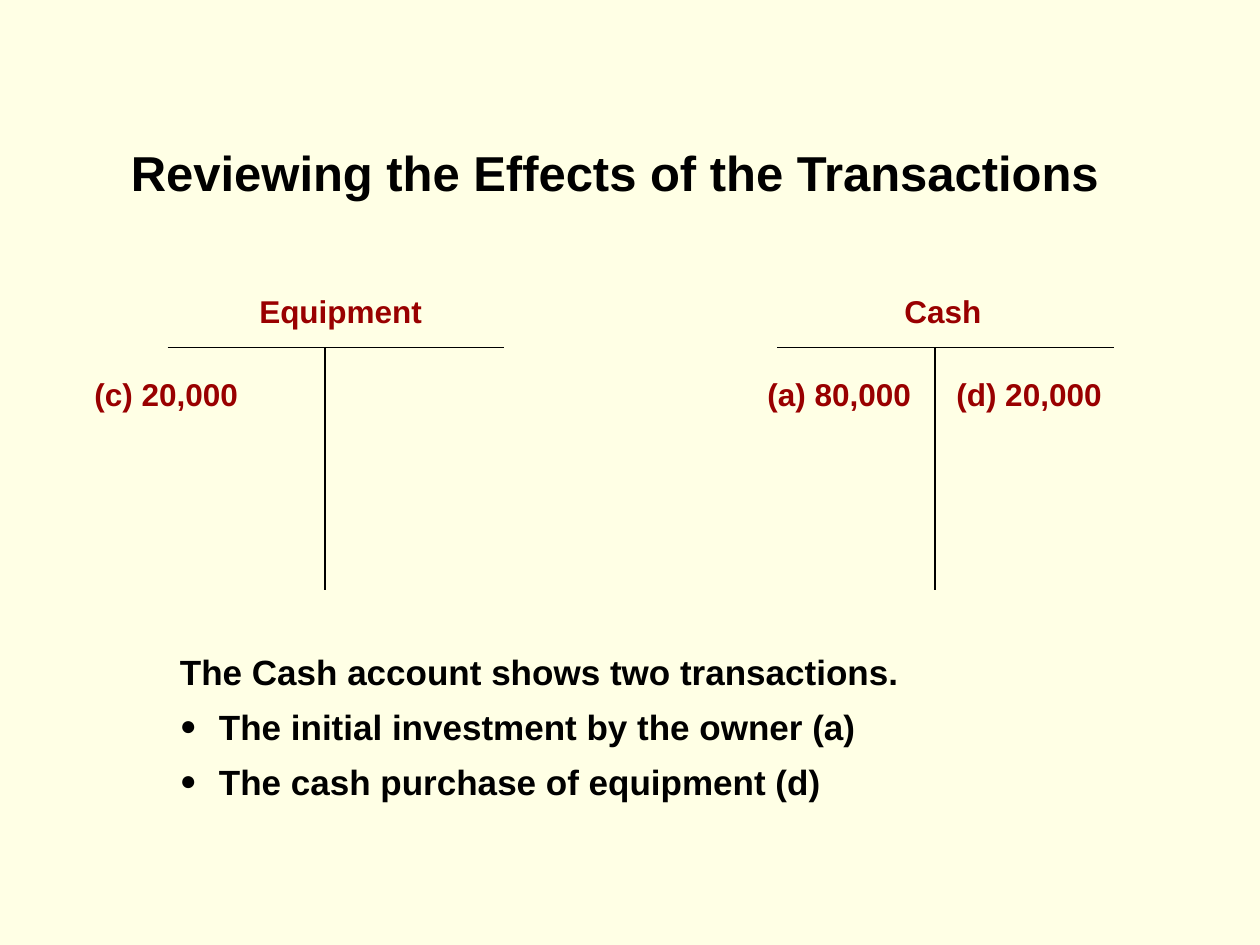
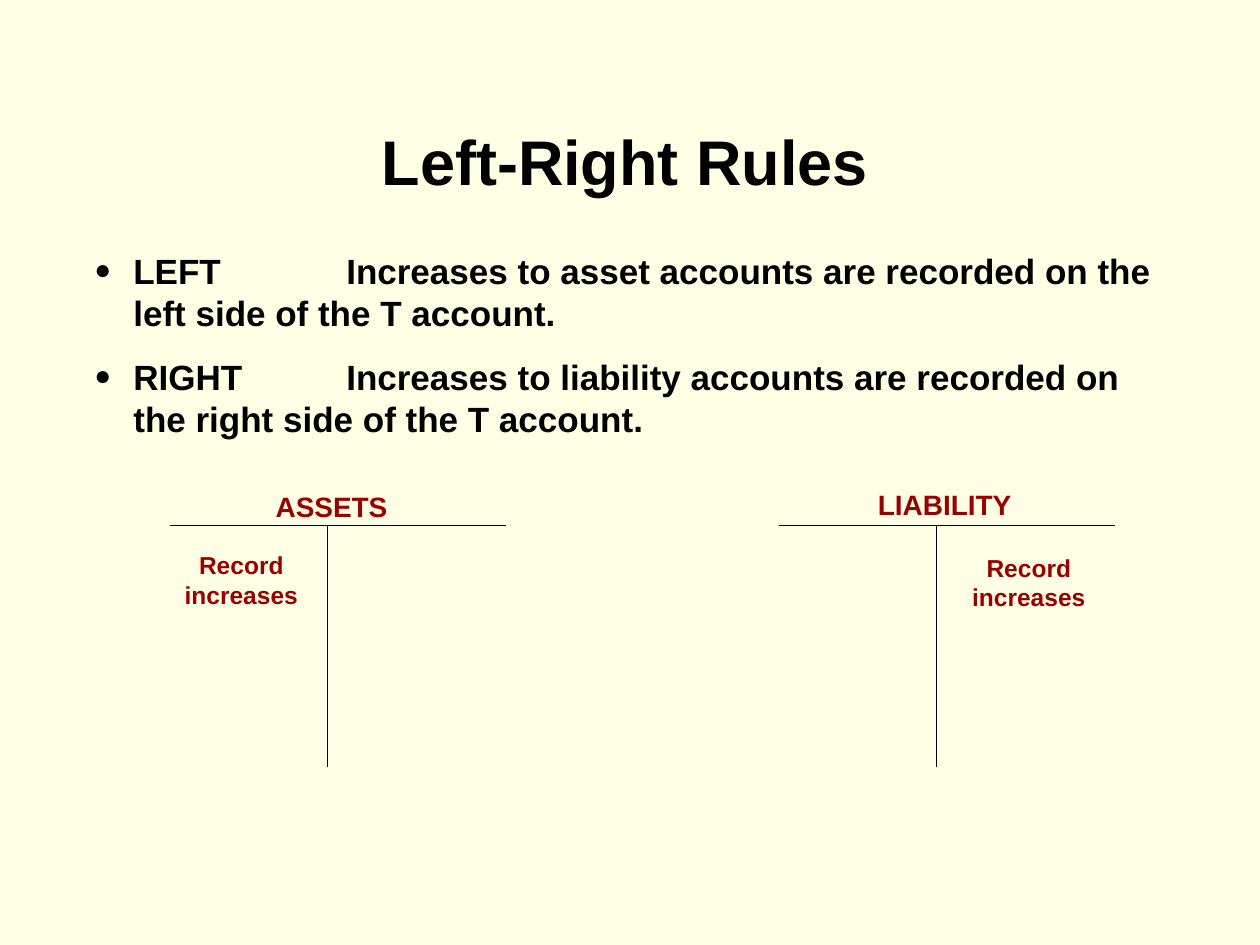
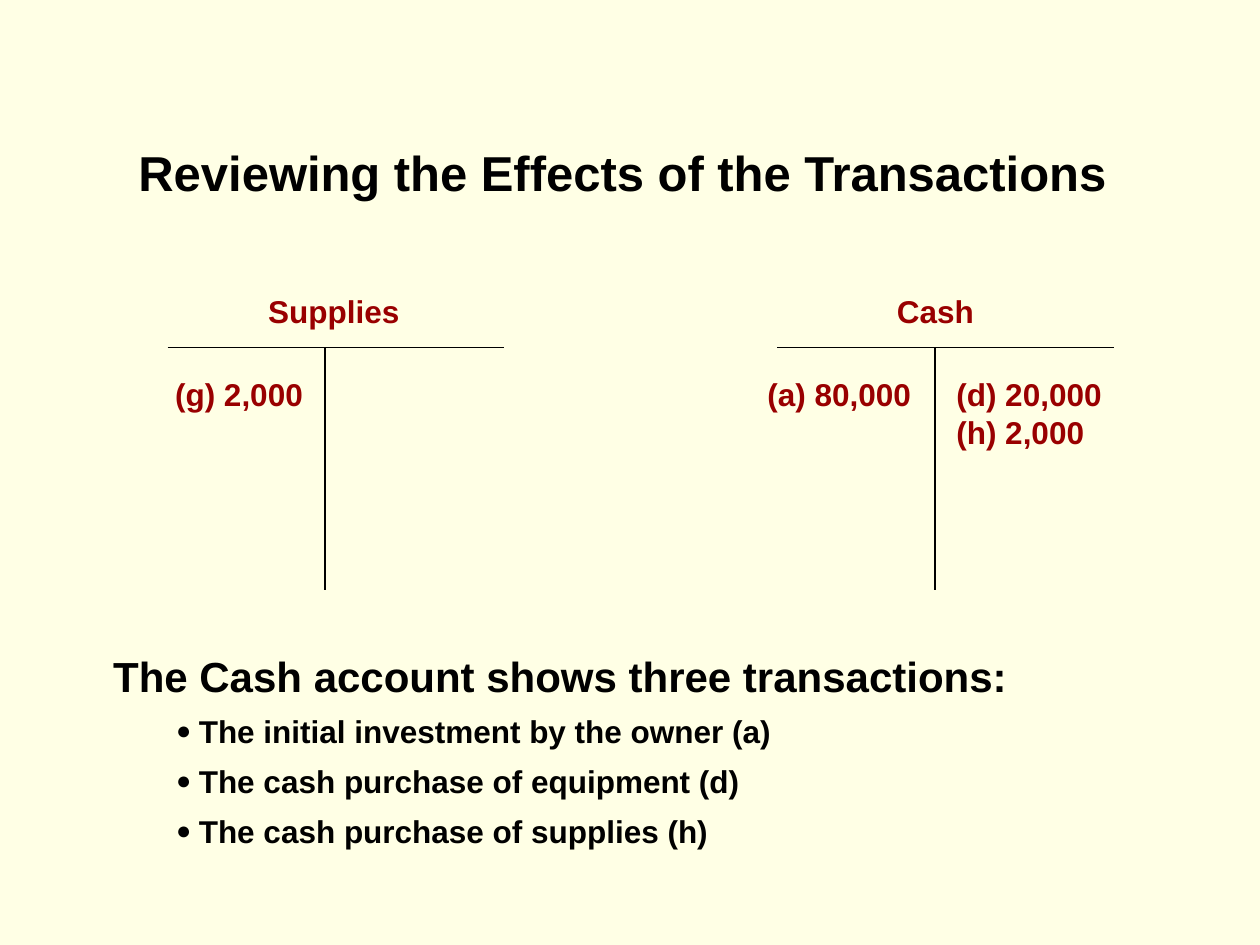
from dataclasses import dataclass

from lxml import etree
from pptx import Presentation
from pptx.dml.color import RGBColor
from pptx.enum.shapes import MSO_CONNECTOR
from pptx.enum.text import MSO_AUTO_SIZE, PP_ALIGN
from pptx.oxml.ns import qn
from pptx.util import Inches, Pt

STRAIGHT = MSO_CONNECTOR.STRAIGHT
GROW = MSO_AUTO_SIZE.SHAPE_TO_FIT_TEXT
LEFT, CENTER = PP_ALIGN.LEFT, PP_ALIGN.CENTER


@dataclass(frozen=True)
class Theme:
    font: str = "Arial"
    paper: str = "FFFFE5"
    ink: str = "000000"
    accent: str = "990000"
    rule: float = 0.75
    review_title: int = 28
    rules_title: int = 36
    lead: int = 24
    body: int = 20
    account: int = 18
    side: int = 16
    hint: int = 14


T = Theme()

# Content: boxes are (left, top, width, height) in inches
REVIEW = "Reviewing the Effects of the Transactions"
REVIEW_Y, RULES_Y = 2.76, 4.17
CASH_IN = ("(a) 80,000", 5.92, 1.42)

SLIDES = [
    dict(
        title=(REVIEW, (0.94, 1.08, 8.72, 0.57), T.review_title, LEFT),
        account_y=REVIEW_Y, account_xs=(1.33, 6.17),
        names=[("Equipment", (1.96, 2.27, 1.6, 0.4), T.account),
               ("Cash", (7.08, 2.27, 0.9, 0.4), T.account)],
        entries=[("(c) 20,000", 0.58, 2.0), ("(d) 20,000", 7.42, 2.25), CASH_IN],
        summary=dict(box=(1.33, 5.11, 7.43, 1.31),
                     lead="The Cash account shows two transactions.", lead_size=T.body,
                     points=["The initial investment by the owner (a)",
                             "The cash purchase of equipment (d)"],
                     size=T.body, margin=0.31, hang=0.31, before=7.5),
    ),
    dict(
        title=("Left-Right Rules", (2.25, 0.92, 5.42, 0.7), T.rules_title, CENTER),
        account_y=RULES_Y, account_xs=(1.35, 6.18),
        names=[("ASSETS", (2.09, 3.84, 1.2, 0.37), T.side),
               ("LIABILITY", (6.87, 3.82, 1.4, 0.37), T.side)],
        hints=[("Record increases", (1.17, 4.32, 1.49, 0.57)),
               ("Record increases", (7.42, 4.34, 1.49, 0.57))],
        rules=["LEFT\tIncreases to asset accounts are recorded on the left side of the T account.",
               "RIGHT\tIncreases to liability accounts are recorded on the right side of the T account."],
    ),
    dict(
        title=(REVIEW, (1.0, 1.08, 8.31, 0.57), T.review_title, LEFT),
        account_y=REVIEW_Y, account_xs=(1.33, 6.17),
        names=[("Supplies", (2.03, 2.27, 1.35, 0.4), T.account),
               ("Cash", (7.02, 2.27, 0.9, 0.4), T.account)],
        entries=[("(g) 2,000", 1.22, 1.77), ("(d) 20,000\n(h) 2,000", 7.42, 2.58), CASH_IN],
        summary=dict(box=(0.8, 5.11, 7.87, 1.68),
                     lead="The Cash account shows three transactions:", lead_size=T.lead,
                     points=["The initial investment by the owner (a)",
                             "The cash purchase of equipment (d)",
                             "The cash purchase of supplies (h)"],
                     size=T.account, margin=0.68, hang=0.18, before=6.8),
    ),
]

# T account geometry
BAR_W, STEM_DX, STEM_H = 2.67, 1.25, 1.92
# Entries and rules
ENTRY_DY, ENTRY_INSET, LINE_H = 0.17, 0.17, 0.3
RULE_X, RULE_Y, RULE_W, RULE_H, RULE_STEP = 0.65, 1.93, 8.59, 0.77, 0.84
RULE_HANG, RULE_TAB = 0.31, 2.0


def text_frame(s, box):
    tf = s.shapes.add_textbox(*map(Inches, box)).text_frame
    tf.word_wrap, tf.auto_size = True, GROW
    return tf


def write(p, text, size, color=T.ink, align=LEFT):
    p.alignment = align
    for i, line in enumerate(text.split("\n")):
        if i:
            p.add_line_break()
        r = p.add_run()
        r.text = line
        r.font.name, r.font.size, r.font.bold = T.font, Pt(size), True
        r.font.color.rgb = RGBColor.from_string(color)


def bullet(p, margin, hang, tab=None):
    pPr = p._p.get_or_add_pPr()
    pPr.set("marL", str(Inches(margin)))
    pPr.set("indent", str(-Inches(hang)))
    color = etree.SubElement(pPr, qn("a:buClr"))
    etree.SubElement(color, qn("a:srgbClr"), val=T.ink)
    etree.SubElement(pPr, qn("a:buSzPct"), val="80000")
    etree.SubElement(pPr, qn("a:buFont"), typeface=T.font)
    etree.SubElement(pPr, qn("a:buChar"), char="●")
    if tab:
        tabs = etree.SubElement(pPr, qn("a:tabLst"))
        etree.SubElement(tabs, qn("a:tab"), pos=str(Inches(tab)), algn="l")


def t_account(s, x, y):
    group = s.shapes.add_group_shape()
    stem_x = x + STEM_DX
    for ends in ((x, y, x + BAR_W, y), (stem_x, y, stem_x, y + STEM_H)):
        line = group.shapes.add_connector(STRAIGHT, *map(Inches, ends))
        line.line.color.rgb = RGBColor.from_string(T.ink)
        line.line.width = Pt(T.rule)
        etree.SubElement(line._element.spPr, qn("a:effectLst"))


def add_summary(s, box, lead, lead_size, points, size, margin, hang, before):
    tf = text_frame(s, box)
    write(tf.paragraphs[0], lead, lead_size)
    for point in points:
        p = tf.add_paragraph()
        bullet(p, margin, hang)
        p.space_before = Pt(before)
        write(p, point, size)


def build(s, data):
    # Title
    title, box, size, align = data["title"]
    write(text_frame(s, box).paragraphs[0], title, size, align=align)

    # Accounts and their names
    for x in data["account_xs"]:
        t_account(s, x, data["account_y"])
    for name, box, size in data["names"]:
        write(text_frame(s, box).paragraphs[0], name, size, T.accent)

    # Amounts or hints inside the accounts
    for amount, x, width in data.get("entries", []):
        height = 0.1 + LINE_H * len(amount.split("\n"))
        tf = text_frame(s, (x, data["account_y"] + ENTRY_DY, width, height))
        tf.margin_left = Inches(ENTRY_INSET)
        write(tf.paragraphs[0], amount, T.account, T.accent)
    for hint, box in data.get("hints", []):
        write(text_frame(s, box).paragraphs[0], hint, T.hint, T.accent, CENTER)

    # Rules or summary
    for i, rule in enumerate(data.get("rules", [])):
        p = text_frame(s, (RULE_X, RULE_Y + i * RULE_STEP, RULE_W, RULE_H)).paragraphs[0]
        bullet(p, RULE_HANG, RULE_HANG, RULE_TAB)
        write(p, rule, T.body)
    if "summary" in data:
        add_summary(s, **data["summary"])


def main():
    prs = Presentation()
    prs.slide_width, prs.slide_height = Inches(10), Inches(7.5)
    fill = prs.slide_master.background.fill
    fill.solid()
    fill.fore_color.rgb = RGBColor.from_string(T.paper)
    for data in SLIDES:
        build(prs.slides.add_slide(prs.slide_layouts[6]), data)
    prs.save("out.pptx")


if __name__ == "__main__":
    main()
